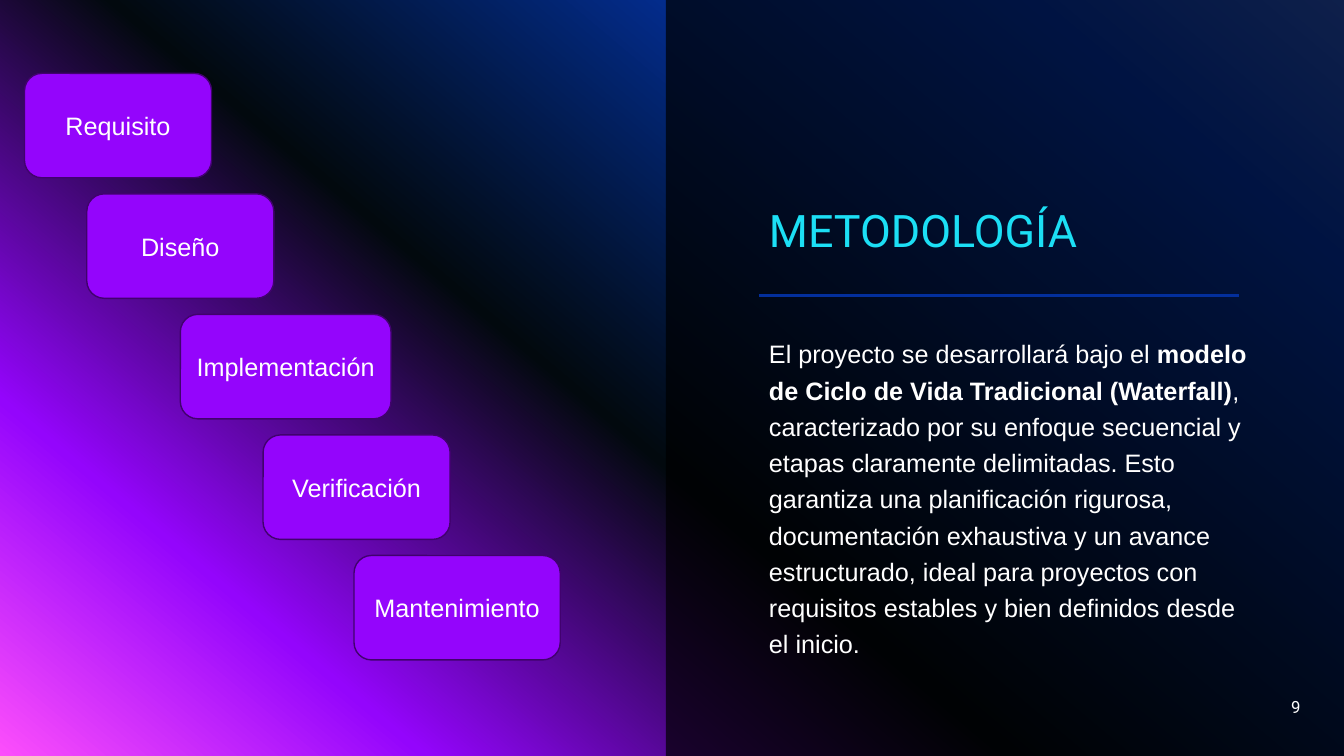
import dataclasses

import lxml.etree
import pptx
import pptx.dml.color
import pptx.enum.shapes
import pptx.enum.text
import pptx.oxml
import pptx.oxml.ns
import pptx.util

Pt = pptx.util.Pt
qn = pptx.oxml.ns.qn
Shapes = pptx.enum.shapes.MSO_SHAPE
Align = pptx.enum.text.PP_ALIGN
Anchor = pptx.enum.text.MSO_ANCHOR


@dataclasses.dataclass(frozen=True)
class Theme:
    backdrop: tuple = ((0, "316CFC"), (14, "0343DF"), (55, "02090E"),
                       (81, "9405FC"), (100, "FC4EFB"))
    backdrop_angle: int = 130
    veil: str = "000000"
    veil_opacity: int = 70
    heading: str = "1CDFF5"
    rule: str = "032F9C"
    step: str = "9405FC"
    step_edge: str = "41026E"
    text: str = "FFFFFF"
    heading_font: str = "Roboto"
    body_font: str = "Arial"
    heading_size: int = 32
    body_size: int = 18
    number_size: int = 12


class SlideBuilder:
    def __init__(self, slide, theme):
        self.slide = slide
        self.theme = theme

    def color(self, value):
        return pptx.dml.color.RGBColor.from_string(value)

    def backdrop(self):
        fill = self.slide.background.fill
        fill.gradient()
        fill.gradient_angle = 360 - self.theme.backdrop_angle
        stops = self.slide.element.find(".//" + qn("a:gsLst"))
        for stop in list(stops):
            stops.remove(stop)
        for position, value in self.theme.backdrop:
            stop = lxml.etree.SubElement(stops, qn("a:gs"), pos=str(position * 1000))
            lxml.etree.SubElement(stop, qn("a:srgbClr"), val=value)

    def panel(self, kind, left, top, width, height, fill, edge=None, opacity=100):
        panel = self.slide.shapes.add_shape(kind, Pt(left), Pt(top), Pt(width), Pt(height))
        panel.shadow.inherit = False
        panel.fill.solid()
        panel.fill.fore_color.rgb = self.color(fill)
        if opacity < 100:
            tint = panel.element.spPr.find(".//" + qn("a:srgbClr"))
            lxml.etree.SubElement(tint, qn("a:alpha"), val=str(opacity * 1000))
        if edge:
            panel.line.color.rgb = self.color(edge)
            panel.line.width = Pt(1)
        else:
            panel.line.fill.background()
        return panel

    def rule(self, left, right, y):
        rule = self.slide.shapes.add_connector(
            pptx.enum.shapes.MSO_CONNECTOR.STRAIGHT, Pt(left), Pt(y), Pt(right), Pt(y))
        rule.line.color.rgb = self.color(self.theme.rule)
        rule.line.width = Pt(2)
        lxml.etree.SubElement(rule.element.spPr, qn("a:effectLst"))

    def fill_frame(self, frame, runs, size, font, color, anchor, align=Align.LEFT):
        frame.word_wrap = True
        frame.vertical_anchor = anchor
        paragraph = frame.paragraphs[0]
        paragraph.alignment = align
        for wording, bold in runs:
            run = paragraph.add_run()
            run.text = wording
            run.font.size = Pt(size)
            run.font.name = font
            run.font.bold = bold
            run.font.color.rgb = self.color(color)
        return paragraph

    def text(self, left, top, width, height, *style):
        box = self.slide.shapes.add_textbox(Pt(left), Pt(top), Pt(width), Pt(height))
        return self.fill_frame(box.text_frame, *style)

    def step(self, name, left, top, width, height):
        theme = self.theme
        step = self.panel(Shapes.FLOWCHART_ALTERNATE_PROCESS, left, top, width, height,
                          theme.step, theme.step_edge)
        self.fill_frame(step.text_frame, [(name, False)], theme.body_size, theme.body_font,
                        theme.text, Anchor.MIDDLE, Align.CENTER)


def main():
    deck = pptx.Presentation()
    deck.slide_width, deck.slide_height = Pt(960), Pt(540)
    theme = Theme()
    page = SlideBuilder(deck.slides.add_slide(deck.slide_layouts[6]), theme)

    page.backdrop()
    page.panel(Shapes.RECTANGLE, 475.6, 0, 484.4, 540, theme.veil,
               opacity=theme.veil_opacity)
    page.rule(542.2, 884.9, 211)

    heading = page.text(542.2, 13.7, 342.7, 173.5, [("METODOLOGÍA", False)],
                        theme.heading_size, theme.heading_font, theme.heading, Anchor.BOTTOM)
    heading.line_spacing = 0.9

    summary = page.text(
        542.2, 234, 364.3, 238.3,
        [("El proyecto se desarrollará bajo el ", False),
         ("modelo de Ciclo de Vida Tradicional (Waterfall)", True),
         (", caracterizado por su enfoque secuencial y etapas claramente delimitadas. "
          "Esto garantiza una planificación rigurosa, documentación exhaustiva y un avance "
          "estructurado, ideal para proyectos con requisitos estables y bien definidos "
          "desde el inicio.", False)],
        theme.body_size, theme.body_font, theme.text, Anchor.TOP)
    summary.line_spacing = 1.2
    summary.space_before = Pt(10)
    summary.space_after = Pt(6)

    page.text(720, 490.3, 216, 28.8, [("9", False)], theme.number_size,
              theme.heading_font, theme.text, Anchor.MIDDLE, Align.RIGHT)

    steps = [("Requisito", 17.5, 133.6), ("Diseño", 62, 133.6),
             ("Implementación", 128.8, 150.5), ("Verificación", 187.9, 133.6),
             ("Mantenimiento", 252.9, 147.3)]
    for index, (name, left, width) in enumerate(steps):
        page.step(name, left, 52.4 + index * 86.1, width, 74.6)

    deck.save("out.pptx")


if __name__ == "__main__":
    main()
